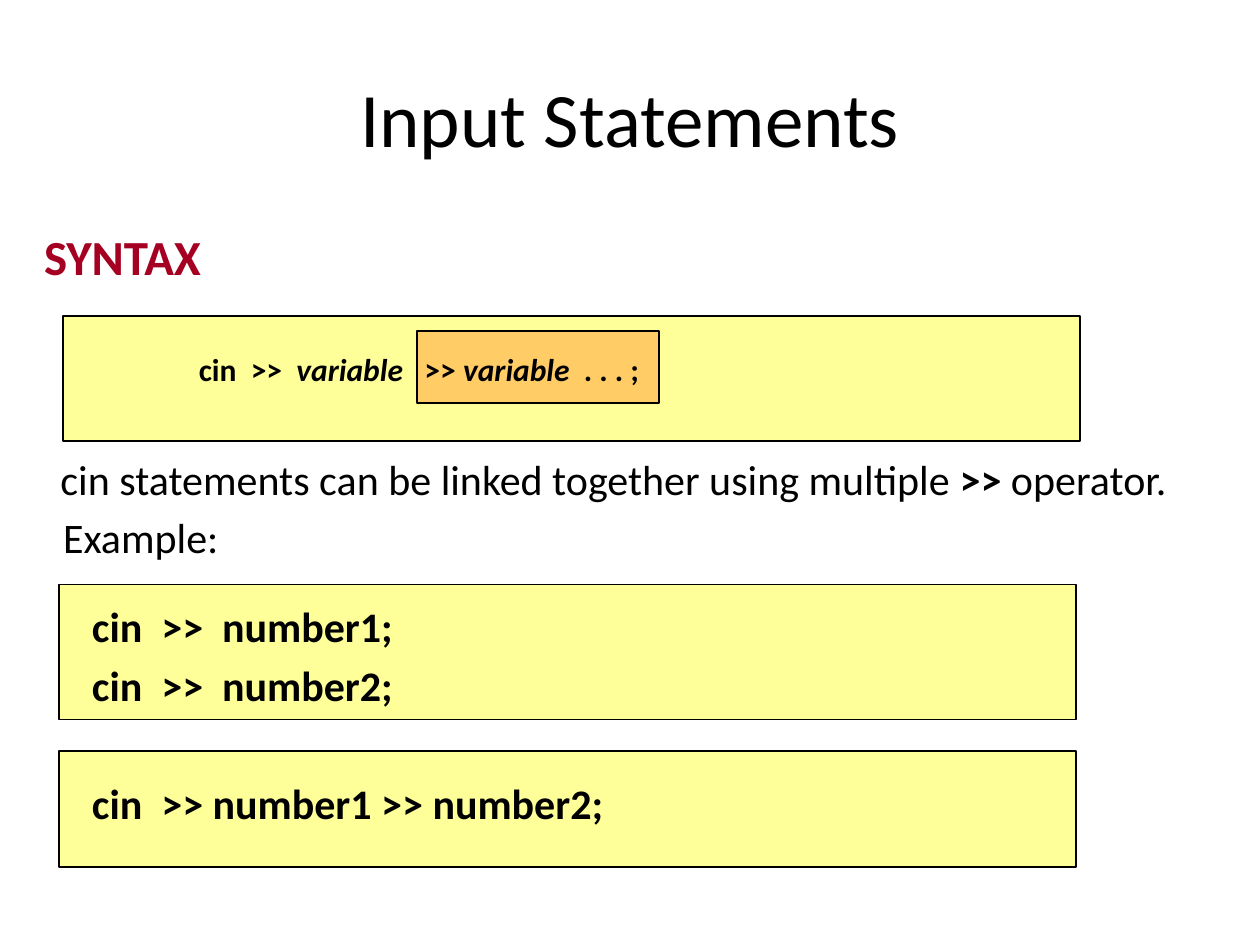
import pptx
import pptx.util
import pptx.dml.color
import pptx.enum.shapes
import pptx.enum.text
import pptx.oxml.ns
import lxml.etree

COLS, ROWS = 100, 75
BASE = {"name": "Calibri", "size": 24, "bold": False, "italic": False}
BOLD = {"bold": True}
VAR = {"bold": True, "italic": True}


def tint(code):
    return pptx.dml.color.RGBColor.from_string(code)


class Deck:
    def __init__(self):
        self.file = pptx.Presentation()
        self.file.slide_width = pptx.util.Inches(10)
        self.file.slide_height = pptx.util.Inches(7.5)
        self.page = self.file.slides.add_slide(self.file.slide_layouts[1])

    def area(self, left, top, width, height):
        col = self.file.slide_width / COLS
        row = self.file.slide_height / ROWS
        return [round(n) for n in (left * col, top * row, width * col, height * row)]

    def place(self, shape, spot):
        for key, val in zip(("left", "top", "width", "height"), self.area(*spot)):
            setattr(shape, key, val)

    def fill_text(self, para, runs, shade="000000", **look):
        for text, extra in runs:
            run = para.add_run()
            run.text = text
            style = {**BASE, **look, **extra}
            style["size"] = pptx.util.Pt(style["size"])
            for key, val in style.items():
                setattr(run.font, key, val)
            run.font.color.rgb = tint(shade)

    def title(self, text, spot):
        shape = self.page.shapes.title
        self.place(shape, spot)
        frame = shape.text_frame
        frame.vertical_anchor = pptx.enum.text.MSO_ANCHOR.MIDDLE
        para = frame.paragraphs[0]
        para.alignment = pptx.enum.text.PP_ALIGN.CENTER
        self.fill_text(para, [(text, {})], size=44)

    def box(self, fill, spot):
        kind = pptx.enum.shapes.MSO_SHAPE.RECTANGLE
        shape = self.page.shapes.add_shape(kind, *self.area(*spot))
        shape.shadow.inherit = False
        shape.fill.solid()
        shape.fill.fore_color.rgb = tint(fill)
        shape.line.color.rgb = tint("000000")
        shape.line.width = pptx.util.Pt(1)

    def label(self, runs, spot, **look):
        frame = self.page.shapes.add_textbox(*self.area(*spot)).text_frame
        frame.word_wrap = True
        self.fill_text(frame.paragraphs[0], runs, **look)

    def body(self, rows, spot):
        shape = self.page.placeholders[1]
        self.place(shape, spot)
        shape.element.getparent().append(shape.element)
        frame = shape.text_frame
        frame.auto_size = pptx.enum.text.MSO_AUTO_SIZE.NONE
        for num, (indent, gap, runs, look) in enumerate(rows):
            para = frame.add_paragraph() if num else frame.paragraphs[0]
            para.space_before = pptx.util.Pt(gap)
            props = para._p.get_or_add_pPr()
            props.set("marL", str(pptx.util.Inches(indent)))
            props.set("indent", "0")
            lxml.etree.SubElement(props, pptx.oxml.ns.qn("a:buNone"))
            self.fill_text(para, runs, **look)


def main():
    deck = Deck()
    deck.title("Input Statements", (5, 3, 90, 12.5))
    for fill, spot in (
        ("FFFF99", (4.7, 46.4, 80.7, 10.7)),
        ("FFFF99", (4.7, 59.6, 80.7, 9.2)),
        ("FFFF99", (5, 25.1, 80.7, 9.9)),
        ("FFCC66", (33.1, 26.3, 19.2, 5.7)),
    ):
        deck.box(fill, spot)
    deck.label(
        [("cin  >>  ", BOLD), ("variable", VAR), ("   >> ", BOLD),
         ("variable", VAR), ("  . . . ;", BOLD)],
        (14.8, 27.3, 37.4, 4), size=18)
    deck.body([
        (0, 0, [("SYNTAX", BOLD)], {"size": 28, "shade": "A50021"}),
        (0.13, 95.7, [("cin statements can be linked together using multiple ", {}),
                      (">>", BOLD), (" operator.", {})], {}),
        (0.15, 4.8, [("Example:", {})], {}),
        (0.38, 21.85, [("cin  >>  number1;", BOLD)], {}),
        (0.38, 4.8, [("cin  >>  number2;", BOLD)], {}),
        (0.38, 38.9, [("cin  >> number1 >> number2;", BOLD)], {}),
    ], (2.5, 17.5, 95, 54.2))
    deck.file.save("out.pptx")


if __name__ == "__main__":
    main()
